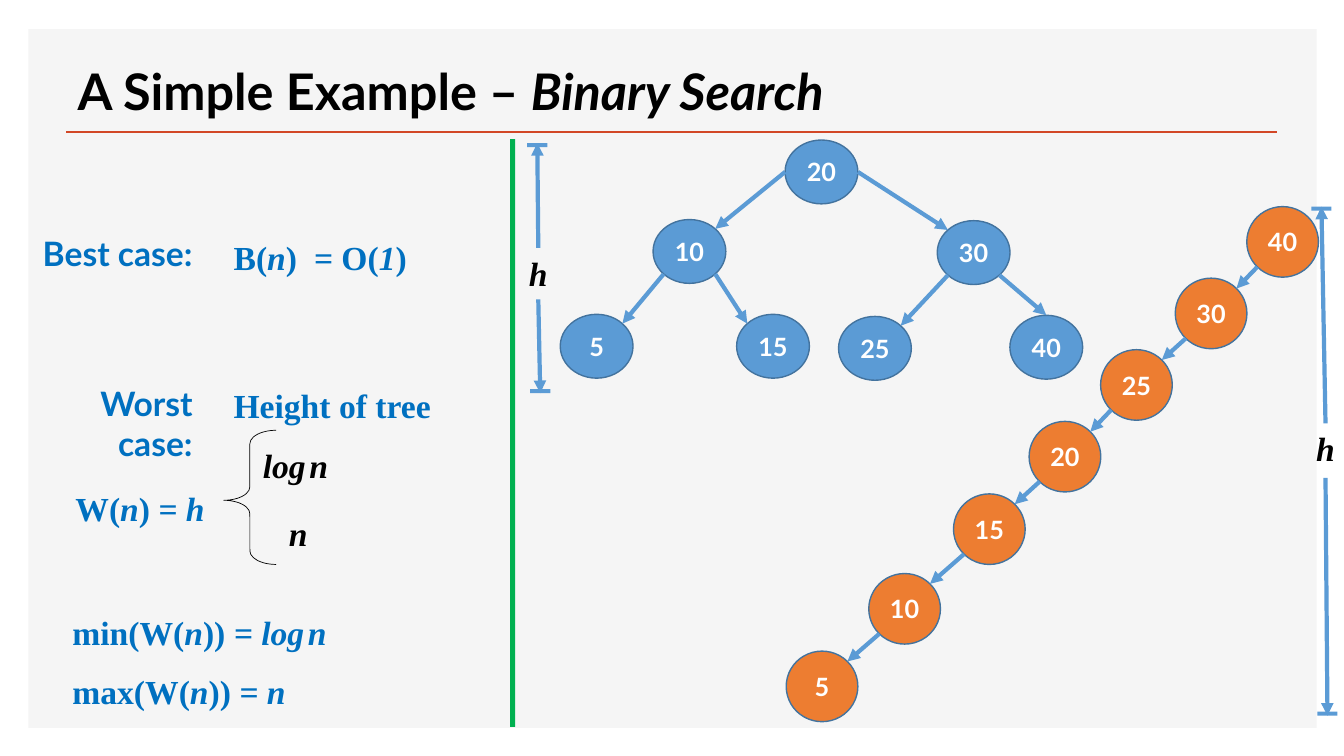
"""Build the slide on best and worst cases of binary search trees."""
from lxml import etree
from pptx import Presentation
from pptx.dml.color import RGBColor
from pptx.enum import shapes as sh, text as tx
from pptx.oxml import ns
from pptx.util import Pt

BLACK = RGBColor(0, 0, 0)
WHITE = RGBColor(0xFF, 0xFF, 0xFF)
PALE = RGBColor(0xF5, 0xF5, 0xF5)
RED = RGBColor(0xD2, 0x47, 0x26)
BLUE = RGBColor(0x5B, 0x9B, 0xD5)
EDGE = RGBColor(0x43, 0x73, 0x9E)
ORANGE = RGBColor(0xED, 0x7D, 0x31)
GREEN = RGBColor(0x00, 0xB0, 0x50)
INK = RGBColor(0x00, 0x70, 0xC0)
SANS, SERIF = "Lato", "Times New Roman"
LEFT, MID, RIGHT = tx.PP_ALIGN.LEFT, tx.PP_ALIGN.CENTER, tx.PP_ALIGN.RIGHT
OVAL = sh.MSO_SHAPE.OVAL

prs = Presentation()
prs.slide_width, prs.slide_height = Pt(960), Pt(540)
slide = prs.slides.add_slide(prs.slide_layouts[5])
items = slide.shapes


def write(frame, runs, font, color, size=24, align=LEFT):
    frame.word_wrap = True
    para = frame.paragraphs[0]
    para.alignment = align
    for words, slant, *small in runs:
        run = para.add_run()
        run.text = words
        face = run.font
        face.name, face.bold, face.italic = font, True, slant
        face.size = Pt(small[0] if small else size)
        face.color.rgb = color


def draw(x1, y1, x2, y2, color=BLUE, width=3, arrow=True):
    line = items.add_connector(sh.MSO_CONNECTOR.STRAIGHT, Pt(x1), Pt(y1), Pt(x2), Pt(y2))
    line.line.color.rgb = color
    line.line.width = Pt(width)
    if arrow:
        etree.SubElement(line.line._get_or_add_ln(), ns.qn("a:tailEnd"), type="triangle")
    etree.SubElement(line._element.spPr, ns.qn("a:effectLst"))


bars = [
    (20.2, 20.9, 920.2, 499, PALE),
    (364.3, 99.4, 3.6, 419.8, GREEN),
    (376.6, 102.2, 14.4, 2.9, BLUE),
    (378.7, 277.9, 14.4, 2.9, BLUE),
    (936.7, 147.6, 14.4, 2.9, BLUE),
    (941, 508.3, 14.4, 2.9, BLUE),
]
for x, y, w, h, color in bars:
    bar = items.add_shape(sh.MSO_SHAPE.RECTANGLE, Pt(x), Pt(y), Pt(w), Pt(h))
    bar.shadow.inherit = False
    bar.fill.solid()
    bar.fill.fore_color.rgb = color
    bar.line.fill.background()

draw(47.5, 94.3, 912.2, 94.3, RED, 2, False)
title = items.title
title.left, title.top, title.width, title.height = Pt(48.2), Pt(21.6), Pt(864), Pt(68.4)
title.text_frame.vertical_anchor = tx.MSO_ANCHOR.BOTTOM
title.text_frame.auto_size = tx.MSO_AUTO_SIZE.NONE
write(title.text_frame, [("A Simple Example – ", False), ("Binary Search", True)], SANS, BLACK, 36)
items._spTree.append(title._element)

tree = {20: (586.8, 122.8), 10: (492.5, 179.6), 30: (695.5, 180.4), 5: (426.2, 247.3),
        15: (552.2, 247.3), 25: (625, 248.8), 40: (747.4, 248)}
chain = {40: (916.2, 172.8), 30: (865.1, 223.9), 25: (811.8, 275), 20: (760.7, 326.2),
         15: (706.7, 378), 10: (646.2, 434.9), 5: (587.2, 490.3)}
D = 0.707
NW, NE, SW, SE = (-D, -D), (D, -D), (-D, D), (D, D)
N, W, E = (0, -1), (-1, 0), (1, 0)
limbs = [(20, W, 10, NE), (10, SW, 5, NE), (30, SW, 25, NE),
         (30, SE, 40, N), (20, E, 30, NW), (10, SE, 15, NW)]
keys = list(chain)
steps = [(a, SW, b, NE) for a, b in zip(keys, keys[1:])]

for nodes, links, w, h, color in [(tree, limbs, 52, 45.6, BLUE), (chain, steps, 51.2, 50.4, ORANGE)]:
    for key, (x, y) in nodes.items():
        node = items.add_shape(OVAL, Pt(x - w / 2), Pt(y - h / 2), Pt(w), Pt(h))
        node.shadow.inherit = False
        node.fill.solid()
        node.fill.fore_color.rgb = color
        node.line.color.rgb = EDGE
        node.line.width = Pt(1)
        frame = node.text_frame
        frame.margin_left = frame.margin_right = 0
        frame.vertical_anchor = tx.MSO_ANCHOR.MIDDLE
        write(frame, [(str(key), False)], SANS, WHITE, 18, MID)
    for a, out, b, into in links:
        (x1, y1), (x2, y2) = nodes[a], nodes[b]
        draw(x1 + out[0] * w / 2, y1 + out[1] * h / 2, x2 + into[0] * w / 2, y2 + into[1] * h / 2)

for ends in [(384.5, 213.8, 385.9, 280.8), (384.5, 177.1, 383.8, 102.2),
             (946.8, 341.3, 948.2, 511.2), (946.8, 302.4, 943.9, 147.6)]:
    draw(*ends)

brace = items.add_shape(sh.MSO_SHAPE.LEFT_BRACE, Pt(159.8), Pt(307.4), Pt(37.4), Pt(95.8))
brace.shadow.inherit = False
brace.adjustments[0], brace.adjustments[1] = 0.259, 0.522
brace.fill.background()
brace.line.color.rgb = BLACK
brace.line.width = Pt(0.5)

log = [("log", True), (" ", True, 10), ("n", True)]
labels = [
    (12.2, 162.7, 132.5, SANS, INK, RIGHT, [("Best case:", False)]),
    (12.2, 270, 132.5, SANS, INK, RIGHT, [("Worst case:", False)]),
    (159.8, 165.6, 169.2, SERIF, INK, LEFT,
     [("B(", False), ("n", True), (")", False), ("  = ", True), ("O(", False), ("1", True), (")", False)]),
    (159.8, 271.4, 205.2, SERIF, INK, LEFT, [("Height of tree", False)]),
    (46.8, 344.9, 109.4, SERIF, INK, LEFT,
     [("W(", False), ("n", True), (")", False), (" = h", True)]),
    (361.4, 177.1, 46.1, SERIF, BLACK, MID, [("h", True)]),
    (923.8, 302.4, 46.1, SERIF, BLACK, MID, [("h", True)]),
    (179.3, 313.9, 63.4, SERIF, BLACK, MID, log),
    (181.4, 362.9, 63.4, SERIF, BLACK, MID, [("n", True)]),
    (44.6, 433.4, 219.6, SERIF, INK, LEFT,
     [("min(W(", False), ("n", True), ("))", False), (" = ", True)] + log),
    (44.6, 475.9, 219.6, SERIF, INK, LEFT,
     [("max(W(", False), ("n", True), ("))", False), (" = n", True)]),
]
for x, y, w, font, color, align, runs in labels:
    box = items.add_textbox(Pt(x), Pt(y), Pt(w), Pt(36))
    write(box.text_frame, runs, font, color, align=align)

prs.save("out.pptx")
